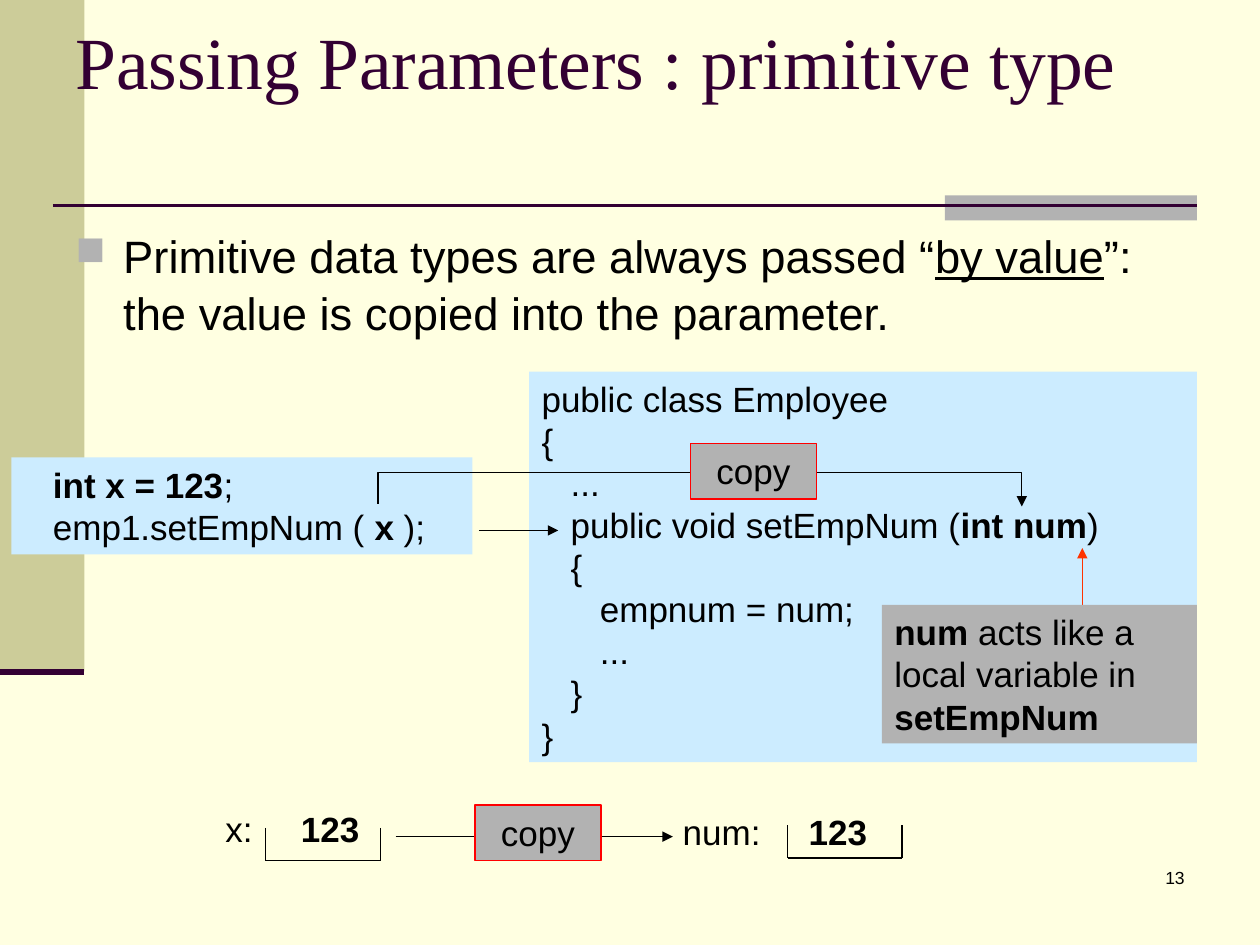
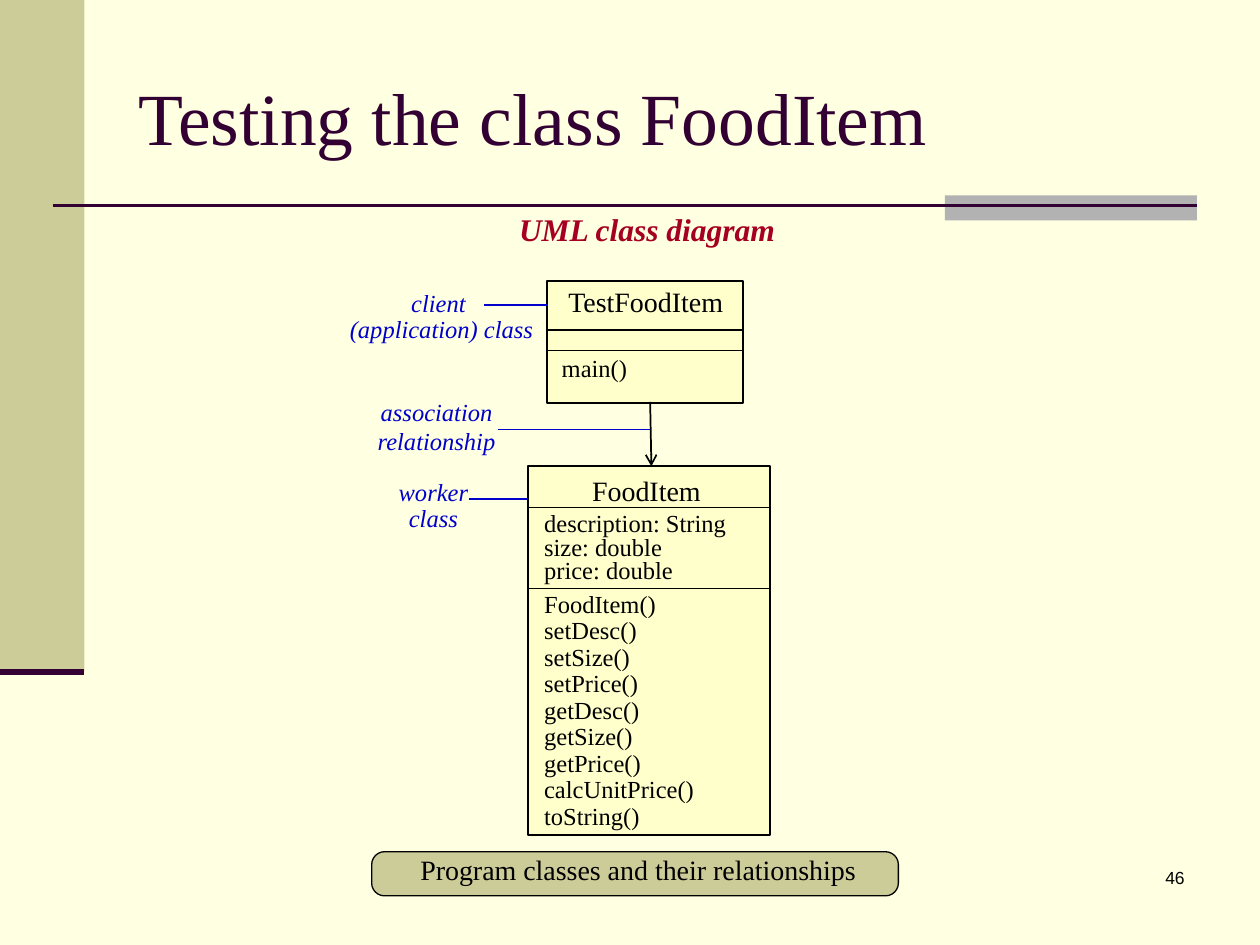
import pptx
import pptx.util
import pptx.dml.color
import pptx.enum.shapes
import pptx.enum.text
import pptx.oxml
import pptx.oxml.ns

Inches, Pt = pptx.util.Inches, pptx.util.Pt
RGBColor = pptx.dml.color.RGBColor
SHAPE = pptx.enum.shapes.MSO_SHAPE
ANCHOR = pptx.enum.text.MSO_ANCHOR
ALIGN = pptx.enum.text.PP_ALIGN

CREAM = RGBColor(0xFF, 0xFF, 0xE1)
OLIVE = RGBColor(0xCC, 0xCC, 0x99)
GREY = RGBColor(0xB2, 0xB2, 0xB2)
PLUM = RGBColor(0x33, 0x00, 0x33)
BLACK = RGBColor(0x00, 0x00, 0x00)
SKY = RGBColor(0xCC, 0xEC, 0xFF)
RED = RGBColor(0xFF, 0x00, 0x00)
ORANGE_RED = RGBColor(0xFF, 0x33, 0x00)
YELLOW = RGBColor(0xFF, 0xFF, 0xCC)
BLUE = RGBColor(0x00, 0x00, 0xCC)
CRIMSON = RGBColor(0xA5, 0x00, 0x21)
SANS, SERIF = "Arial", "Times New Roman"

# A paragraph is a list of runs; a run is (text, marks) with marks from "b", "i", "u".
PASSING_TITLE = ("Passing Parameters : primitive type", (0.5, 0, 9, 0.95), "13")
BY_VALUE = [[("Primitive data types are always passed “", ""), ("by value", "u"),
             ("”: the value is copied into the parameter.", "")]]
CODE_BOXES = [
    ((0.09, 3.63, 3.66, 0.77), [
        [("   ", ""), ("int x = 123", "b"), (";", "")],
        [("   emp1.setEmpNum ( ", ""), ("x", "b"), (" );", "")]]),
    ((4.2, 2.95, 5.3, 3.1), [
        [("public class Employee", "")],
        [("{", "")],
        [("   ...", "")],
        [("   public void setEmpNum (", ""), ("int num", "b"), (")", "")],
        [("   {", "")],
        [("      empnum = num;", "")],
        [("      ...", "")],
        [("   }", "")],
        [("}", "")]]),
]
NUM_NOTE = [[("num", "b"), (" acts like a local variable in ", ""), ("setEmpNum", "b")]]
# name, text box, tab stop of the value, left and top of the value's tray
VARIABLES = [
    ("x:", (1.69, 6.36, 1.33, 0.44), 0.6, (2.11, 6.57)),
    ("num:", (5.32, 6.38, 1.93, 0.44), 1.0, (6.25, 6.55)),
]
TRAY_WIDTH, TRAY_DEPTH = 0.91, 0.26
ARROWS = [
    ((8.59, 4.94), (8.59, 4.35), ORANGE_RED),
    ((3.8, 4.21), (4.43, 4.21), BLACK),
    ((3.14, 6.64), (5.34, 6.64), BLACK),
]
COPY_PATH = [(3, 4), (3, 3.75), (8.11, 3.75), (8.11, 4.02)]
COPY_LABELS = [(3.77, 6.39), (5.48, 3.52)]

TESTING_TITLE = ("Testing the class FoodItem", (1, 0.3, 8.5, 1.25), "46")
# A section is its text box, its lines and its line spacing.
CLASSES = [
    {"box": (4.34, 2.23, 1.56, 0.97), "dividers": (2.62, 2.78),
     "name": ("TestFoodItem", (4.28, 2.21, 1.69, 0.37)),
     "sections": [((4.36, 2.78, 1.43, 0.31), ["main()"], 0.9)]},
    {"box": (4.19, 3.7, 1.92, 2.93), "dividers": (4.03, 4.67),
     "name": ("FoodItem", (4.42, 3.71, 1.42, 0.37)),
     "sections": [
         ((4.22, 4.03, 1.89, 0.66),
          ["description: String", "size: double", "price: double"], 0.8),
         ((4.22, 4.65, 1.89, 2.11),
          ["FoodItem()", "setDesc()", "setSize()", "setPrice()", "getDesc()",
           "getSize()", "getPrice()", "calcUnitPrice()", "toString()"], 0.9)]},
]
# lines, text box, line spacing, ends and height of the leader line
CALLOUTS = [
    (["client ", "(application) class"], (2.67, 2.26, 1.67, 0.52), 0.9, (3.84, 4.35, 2.42)),
    (["association", "relationship"], (2.74, 3.1, 1.45, 0.57), 1.0, (3.95, 5.16, 3.41)),
    (["worker class"], (2.95, 3.76, 0.98, 0.52), 0.9, (3.72, 4.19, 3.96)),
]
DIAGRAM_HEADING = "UML class diagram"
DIAGRAM_CAPTION = "Program classes and their relationships"


def xml(source):
    return pptx.oxml.parse_xml(
        source.replace("/>", ' xmlns:a="http://schemas.openxmlformats.org/drawingml/2006/main"/>', 1)
        if source.endswith("/>") and source.count("<") == 1
        else source.replace(">", ' xmlns:a="http://schemas.openxmlformats.org/drawingml/2006/main">', 1))


def write(shape, paragraphs, size=20, font=SANS, color=BLACK, align=ALIGN.LEFT,
          spacing=None, anchor=ANCHOR.TOP, layout=()):
    """Fill a shape with runs; layout holds bullet or tab elements for each paragraph."""
    frame = shape.text_frame
    frame.word_wrap = True
    frame.vertical_anchor = anchor
    for index, runs in enumerate(paragraphs):
        paragraph = frame.add_paragraph() if index else frame.paragraphs[0]
        paragraph.alignment = align
        if spacing:
            paragraph.line_spacing = spacing
        for element in layout:
            paragraph._p.get_or_add_pPr().append(xml(element))
        for text, marks in runs:
            run = paragraph.add_run()
            run.text = text
            run.font.name = font
            run.font.size = Pt(size)
            run.font.color.rgb = color
            run.font.bold = "b" in marks
            run.font.italic = "i" in marks
            run.font.underline = "u" in marks


def add_text(slide, box, paragraphs, **style):
    shape = slide.shapes.add_textbox(*map(Inches, box))
    write(shape, paragraphs, **style)
    return shape


def add_box(slide, box, fill, line=None, width=0.75, kind=SHAPE.RECTANGLE):
    shape = slide.shapes.add_shape(kind, *map(Inches, box))
    shape.shadow.inherit = False
    shape.fill.solid()
    shape.fill.fore_color.rgb = fill
    if line is None:
        shape.line.fill.background()
    else:
        shape.line.color.rgb = line
        shape.line.width = Pt(width)
    return shape


def style_line(shape, color, width, arrow):
    shape.line.color.rgb = color
    shape.line.width = Pt(width)
    if arrow:
        shape.line._get_or_add_ln().append(xml(f'<a:tailEnd type="{arrow}"/>'))


def add_line(slide, start, end, color=BLACK, width=0.75, arrow=None):
    connector = slide.shapes.add_connector(
        pptx.enum.shapes.MSO_CONNECTOR.STRAIGHT, *map(Inches, (*start, *end)))
    style_line(connector, color, width, arrow)
    connector._element.spPr.append(xml("<a:effectLst/>"))


def add_path(slide, points, arrow):
    first, *rest = [tuple(map(Inches, point)) for point in points]
    builder = slide.shapes.build_freeform(*first)
    builder.add_line_segments(rest, close=False)
    shape = builder.convert_to_shape()
    shape.shadow.inherit = False
    shape.fill.background()
    style_line(shape, BLACK, 0.75, arrow)


def start_slide(presentation, title, title_box, number):
    """Add a slide with the shared background, bands, title and number."""
    slide = presentation.slides.add_slide(presentation.slide_layouts[6])
    slide.background.fill.solid()
    slide.background.fill.fore_color.rgb = CREAM
    add_box(slide, (0, 0, 0.67, 5.33), OLIVE)
    add_box(slide, (7.5, 1.55, 2, 0.2), GREY)
    add_line(slide, (0.42, 1.63), (9.5, 1.63), PLUM, 1.5)
    add_line(slide, (0, 5.33), (0.67, 5.33), PLUM, 3.5)
    add_text(slide, (7.42, 6.83, 2.08, 0.5), [[(number, "")]], size=10, align=ALIGN.RIGHT)
    add_text(slide, title_box, [[(title, "")]], size=42, font=SERIF, color=PLUM,
             anchor=ANCHOR.MIDDLE)
    return slide


def build_passing_slide(presentation):
    slide = start_slide(presentation, *PASSING_TITLE)
    bullet = ('<a:buClr><a:srgbClr val="B2B2B2"/></a:buClr>',
              '<a:buSzPct val="90000"/>', '<a:buChar char="■"/>')
    body = add_text(slide, (0.5, 1.74, 9, 1.01), BY_VALUE, size=25.9, spacing=1.05,
                    layout=bullet)
    properties = body.text_frame.paragraphs[0]._p.pPr
    properties.set("marL", str(Inches(0.38)))
    properties.set("indent", str(-Inches(0.38)))

    for box, code in CODE_BOXES:
        write(add_box(slide, box, SKY), code)
    for name, box, tab, (left, top) in VARIABLES:
        right, bottom = left + TRAY_WIDTH, top + TRAY_DEPTH
        add_line(slide, (left, top), (left, bottom))
        add_line(slide, (left, bottom), (right, bottom))
        add_line(slide, (right, top), (right, bottom))
        stop = f'<a:tabLst><a:tab pos="{Inches(tab)}" algn="l"/></a:tabLst>'
        add_text(slide, box, [[(name + "\t", ""), ("123", "b")]], layout=(stop,))
    for start, end, color in ARROWS:
        add_line(slide, start, end, color, arrow="triangle")
    add_path(slide, COPY_PATH, "triangle")
    for left, top in COPY_LABELS:
        label = add_box(slide, (left, top, 1, 0.44), GREY, RED)
        write(label, [[("copy", "")]], align=ALIGN.CENTER)
    write(add_box(slide, (7, 4.8, 2.5, 1.1), GREY), NUM_NOTE)


def build_testing_slide(presentation):
    slide = start_slide(presentation, *TESTING_TITLE)
    centred = {"font": SERIF, "align": ALIGN.CENTER}
    for uml in CLASSES:
        left, _, width, _ = uml["box"]
        add_box(slide, uml["box"], YELLOW, BLACK, 1)
        name, name_box = uml["name"]
        add_text(slide, name_box, [[(name, "")]], size=16, **centred)
        for height in uml["dividers"]:
            add_line(slide, (left, height), (left + width, height))
        for box, members, spacing in uml["sections"]:
            add_text(slide, box, [[(member, "")] for member in members],
                     size=14, font=SERIF, spacing=spacing)
    add_line(slide, (5.16, 3.19), (5.17, 3.7), width=1, arrow="arrow")
    for lines, box, spacing, (start, end, height) in CALLOUTS:
        add_text(slide, box, [[(line, "i")] for line in lines], size=14, color=BLUE,
                 spacing=spacing, **centred)
        add_line(slide, (start, height), (end, height), BLUE)
    add_text(slide, (3.64, 1.62, 2.99, 0.4), [[(DIAGRAM_HEADING, "bi")]], size=18,
             color=CRIMSON, **centred)
    plate = add_box(slide, (2.95, 6.76, 4.18, 0.35), OLIVE, BLACK,
                    kind=SHAPE.ROUNDED_RECTANGLE)
    plate.adjustments[0] = 0.29
    add_text(slide, (2.87, 6.72, 4.39, 0.37), [[(DIAGRAM_CAPTION, "")]], size=16, **centred)


def main():
    presentation = pptx.Presentation()
    presentation.slide_width, presentation.slide_height = Inches(10), Inches(7.5)
    build_passing_slide(presentation)
    build_testing_slide(presentation)
    presentation.save("out.pptx")


if __name__ == "__main__":
    main()
